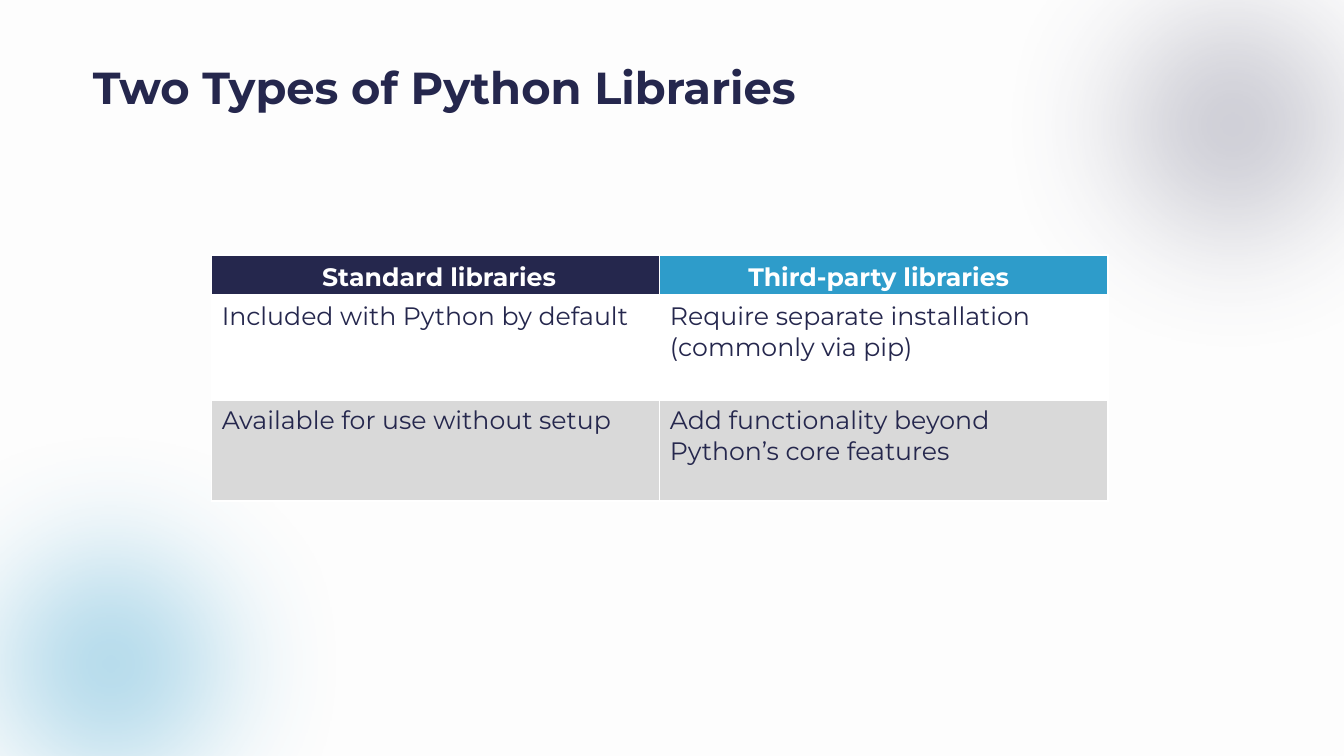
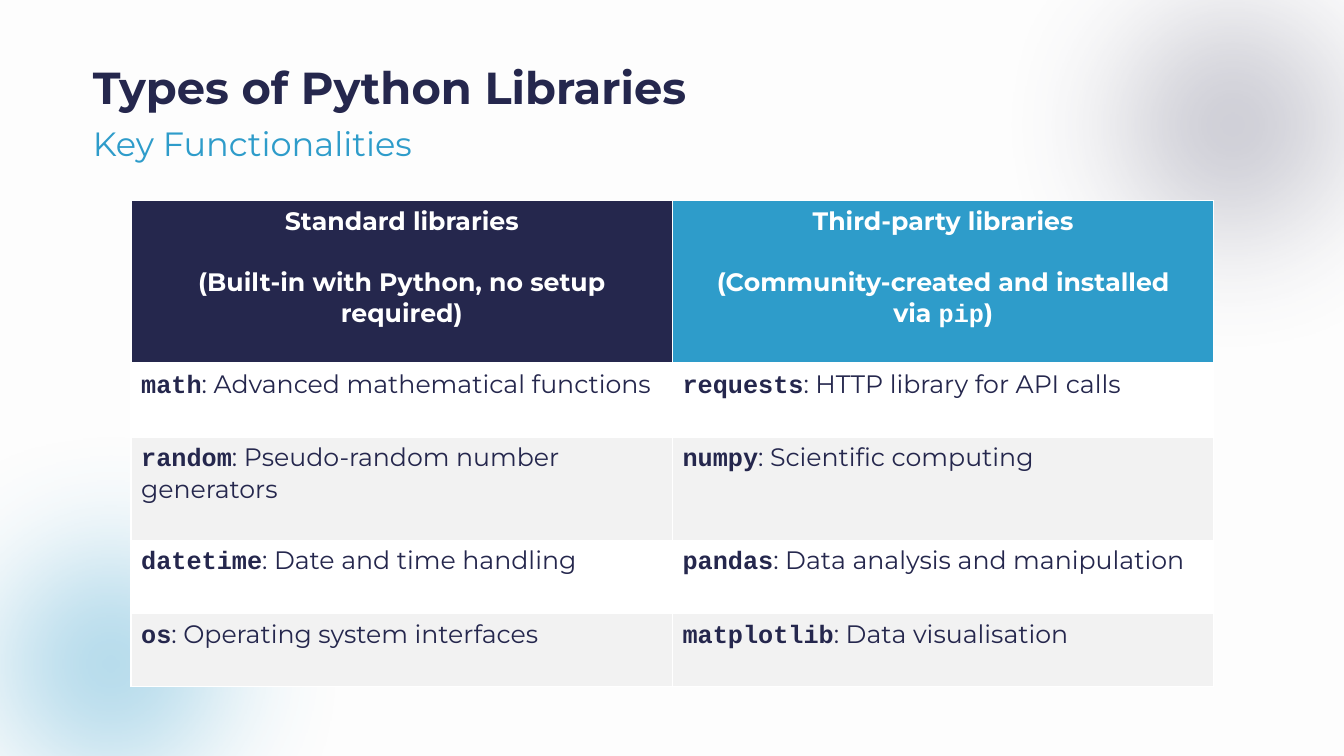
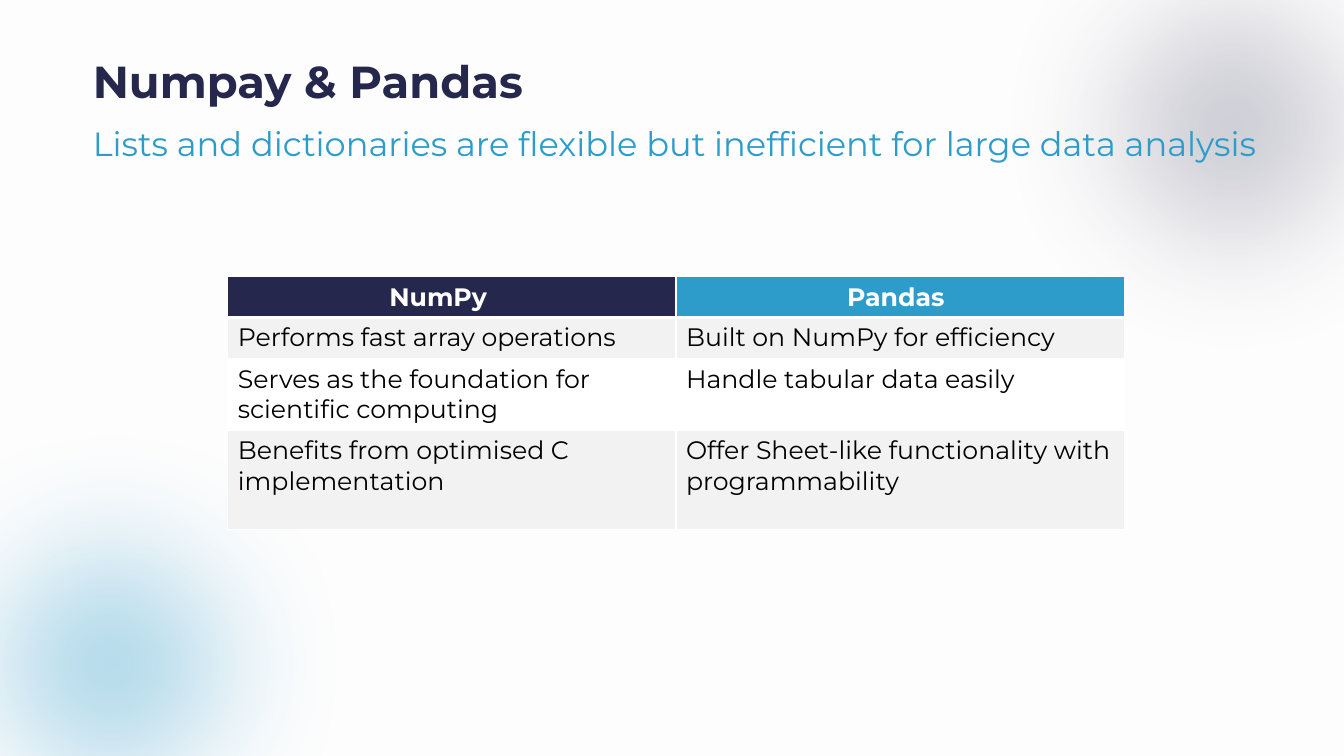
from lxml import etree
from pptx import Presentation
from pptx.dml.color import RGBColor
from pptx.enum.shapes import MSO_SHAPE
from pptx.enum.text import MSO_ANCHOR, MSO_AUTO_SIZE, PP_ALIGN
from pptx.oxml.ns import qn
from pptx.util import Inches, Pt

OVAL = MSO_SHAPE.OVAL
TOP = MSO_ANCHOR.TOP
NO_FIT = MSO_AUTO_SIZE.NONE
LEFT, CENTER = PP_ALIGN.LEFT, PP_ALIGN.CENTER

NAVY, BLUE, SLATE = "25274D", "2E9CCA", "464866"
WHITE, PAPER, BLACK = "FFFFFF", "FDFDFD", "000000"
LIGHT, GRAY = "F2F2F2", "D9D9D9"
SANS, MONO = "Montserrat", "Courier New"

TITLE_STYLE = {"name": SANS, "size": Pt(32), "bold": True}
SUBTITLE_STYLE = {"name": SANS, "size": Pt(24), "bold": False}
HEADER_STYLE = {"name": SANS, "size": Pt(18), "bold": True}
CELL_STYLE = {"name": SANS, "size": Pt(18), "bold": False}
CODE_STYLE = {"name": MONO, "size": Pt(18), "bold": True}


def rgb(value):
    return RGBColor.from_string(value)


def add_run(p, text, style, color):
    r = p.add_run()
    r.text = text
    for name, value in style.items():
        setattr(r.font, name, value)
    r.font.color.rgb = rgb(color)


def add_code_text(p, text, style, color):
    for i, part in enumerate(text.split("`")):
        if part:
            add_run(p, part, CODE_STYLE if i % 2 else style, color)


def place(sp, left, top, width, height):
    sp.left, sp.top = Inches(left), Inches(top)
    sp.width, sp.height = Inches(width), Inches(height)


def add_glow(s, master, left, top, color, alpha):
    sp = s.shapes.add_shape(OVAL, Inches(left), Inches(top), Inches(5.92), Inches(5.92))
    sp.fill.solid()
    sp.fill.fore_color.rgb = rgb(color)
    sp.line.fill.background()
    clr = sp.element.spPr.find(qn("a:solidFill"))[0]
    etree.SubElement(clr, qn("a:alpha"), val=str(alpha * 1000))
    effects = etree.SubElement(sp.element.spPr, qn("a:effectLst"))
    etree.SubElement(effects, qn("a:softEdge"), rad=str(Pt(100)))
    master.shapes.element.insert(2, sp.element)


def fill_placeholder(sp, text, style, color, inset):
    tf = sp.text_frame
    tf.auto_size = NO_FIT
    tf.vertical_anchor = TOP
    tf.word_wrap = True
    tf.margin_top = Inches(inset)
    p = tf.paragraphs[0]
    p.alignment = LEFT
    p.line_spacing = 0.9
    p.space_before = Pt(0)
    add_run(p, text, style, color)
    return p


def add_title(s, text, top=0.44, inset=0.21):
    place(s.shapes.title, 0.82, top, 11.62, 0.59)
    fill_placeholder(s.shapes.title, text, TITLE_STYLE, NAVY, inset)


def add_subtitle(s, text, width=11.62, height=0.49):
    sp = s.placeholders[1]
    place(sp, 0.82, 1.21, width, height)
    pPr = fill_placeholder(sp, text, SUBTITLE_STYLE, BLUE, 0.05)._p.get_or_add_pPr()
    pPr.set("marL", "0")
    pPr.set("indent", "0")
    etree.SubElement(pPr, qn("a:buNone"))


def set_borders(cell, row):
    tcPr = cell._tc.get_or_add_tcPr()
    widths = {"lnL": 1, "lnR": 1, "lnT": 3 if row == 1 else 1, "lnB": 3 if row == 0 else 1}
    for i, (tag, width) in enumerate(widths.items()):
        ln = etree.Element(qn(f"a:{tag}"), w=str(Pt(width)))
        fill = etree.SubElement(ln, qn("a:solidFill"))
        etree.SubElement(fill, qn("a:srgbClr"), val=WHITE)
        tcPr.insert(i, ln)


def add_table(s, left, top, width, heights, rows, bands, color, headers=None):
    frame = s.shapes.add_table(len(heights), 2, Inches(left), Inches(top),
                               Inches(width), Inches(sum(heights)))
    table = frame.table
    table.first_row = table.horz_banding = False
    for column in table.columns:
        column.width = Inches(width / 2)
    for i, height in enumerate(heights):
        table.rows[i].height = Inches(height)
        for j in range(2):
            cell = table.cell(i, j)
            cell.fill.solid()
            cell.fill.fore_color.rgb = rgb(bands[(i - 1) % 2] if i else (NAVY, BLUE)[j])
            set_borders(cell, i)
            if i:
                add_code_text(cell.text_frame.paragraphs[0], rows[i - 1][j], CELL_STYLE, color)
            elif headers:
                add_header_lines(cell.text_frame, headers[j])


def add_header_lines(tf, lines):
    for i, line in enumerate(lines):
        p = tf.add_paragraph() if i else tf.paragraphs[0]
        p.alignment = CENTER
        if i == 1:
            p.space_before = Pt(22)
        add_code_text(p, line, HEADER_STYLE, WHITE)


def add_label(s, text, left, top, width):
    tf = s.shapes.add_textbox(Inches(left), Inches(top), Inches(width), Inches(0.4)).text_frame
    tf.word_wrap = True
    add_header_lines(tf, [text])


def two_types(s):
    add_title(s, "Two Types of Python Libraries")
    s.placeholders[1].element.getparent().remove(s.placeholders[1].element)
    rows = [
        ("Included with Python by default", "Require separate installation (commonly via pip)"),
        ("Available for use without setup", "Add functionality beyond Python’s core features"),
    ]
    add_table(s, 2.1, 2.53, 8.89, [0.41, 1.03, 1], rows, (WHITE, GRAY), NAVY)
    add_label(s, "Standard libraries", 2.76, 2.54, 3.19)
    add_label(s, "Third-party libraries", 7.12, 2.54, 3.19)


def key_functionalities(s):
    add_title(s, "Types of Python Libraries")
    add_subtitle(s, "Key Functionalities")
    headers = [
        ("Standard libraries", "(Built-in with Python, no setup required)"),
        ("Third-party libraries", "(Community-created and installed", "via `pip`)"),
    ]
    rows = [
        ("`math`: Advanced mathematical functions", "`requests`: HTTP library for API calls"),
        ("`random`: Pseudo-random number generators", "`numpy`: Scientific computing"),
        ("`datetime`: Date and time handling", "`pandas`: Data analysis and manipulation"),
        ("`os`: Operating system interfaces", "`matplotlib`: Data visualisation"),
    ]
    add_table(s, 1.3, 1.99, 10.74, [1.62, 0.73, 1.02, 0.73, 0.72], rows,
              (WHITE, LIGHT), NAVY, headers)


def numpy_and_pandas(s):
    add_title(s, "Numpay & Pandas", 0.54, 0.05)
    add_subtitle(s, "Lists and dictionaries are flexible but inefficient for large data analysis",
                 12.28, 0.45)
    rows = [
        ("Performs fast array operations", "Built on NumPy for efficiency"),
        ("Serves as the foundation for scientific computing", "Handle tabular data easily"),
        ("Benefits from optimised C implementation",
         "Offer Spreadsheet-like functionality with programmability".replace("Spreadsheet", "Sheet")),
    ]
    add_table(s, 2.26, 2.74, 8.89, [0.41, 0.41, 0.71, 0.98], rows, (LIGHT, WHITE), BLACK)
    add_label(s, "NumPy", 3.75, 2.74, 1.19)
    add_label(s, "Pandas", 8.29, 2.74, 1.19)


def main():
    prs = Presentation()
    prs.slide_width, prs.slide_height = Inches(13.33), Inches(7.5)
    master = prs.slide_master
    master.background.fill.solid()
    master.background.fill.fore_color.rgb = rgb(PAPER)
    slides = [prs.slides.add_slide(prs.slide_layouts[1]) for _ in range(3)]
    add_glow(slides[0], master, 9.27, -1.72, SLATE, 30)
    add_glow(slides[0], master, -1.86, 3.63, BLUE, 40)
    for build, s in zip((two_types, key_functionalities, numpy_and_pandas), slides):
        build(s)
    prs.save("out.pptx")


if __name__ == "__main__":
    main()
